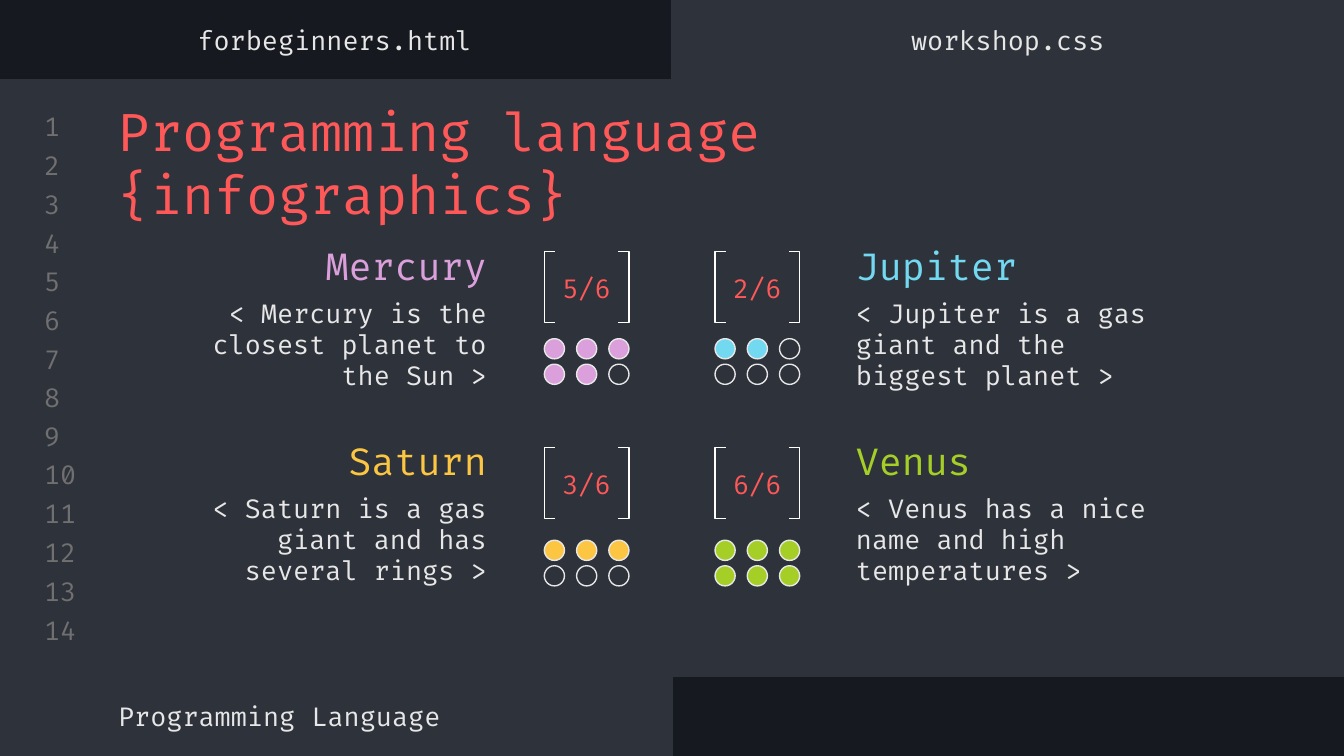
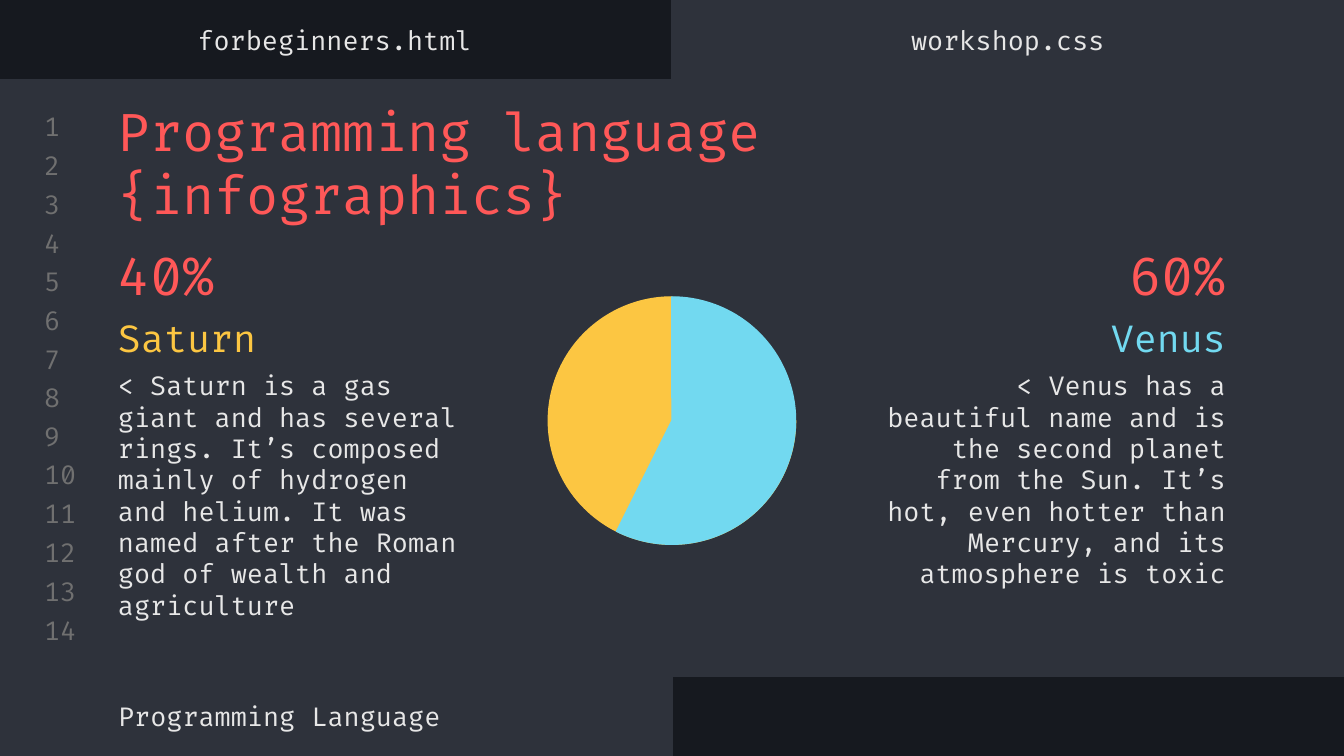
import pptx
import pptx.dml.color
import pptx.enum.shapes
import pptx.enum.text
import pptx.util

PX = 4572  # 200 px to the inch
WIDE, HIGH = 2000, 1125
FONT = "Fira Code"
DARK, PANEL, GREY = "16191F", "2E323B", "707070"
PALE, WHITE, RED = "E7E7E7", "FFFFFF", "FF5858"
PINK, BLUE, GOLD, GREEN = "DBA0DB", "72D9F0", "FCC642", "A5CF27"
SMALL, MID, LARGE = 14, 20, 28
LEFT = 156

Kind = pptx.enum.shapes.MSO_SHAPE
Anchor = pptx.enum.text.MSO_ANCHOR
Align = pptx.enum.text.PP_ALIGN


def paint(color):
    return pptx.dml.color.RGBColor.from_string(color)


def scale(*sizes):
    return [pptx.util.Emu(size * PX) for size in sizes]


class Deck:
    """Holds the shared style and the slide being filled."""

    def __init__(self):
        self.file = pptx.Presentation()
        self.file.slide_width, self.file.slide_height = scale(WIDE, HIGH)
        self.slide = None

    def text(self, words, x, y, w, h, size=SMALL, color=PALE,
             align=Align.LEFT, anchor=Anchor.MIDDLE):
        frame = self.slide.shapes.add_textbox(*scale(x, y, w, h)).text_frame
        frame.word_wrap = True
        frame.vertical_anchor = anchor
        (frame.margin_left, frame.margin_top,
         frame.margin_right, frame.margin_bottom) = scale(20, 20, 20, 20)
        para = frame.paragraphs[0]
        para.text = words
        para.alignment = align
        para.font.name = FONT
        para.font.size = pptx.util.Pt(size)
        para.font.color.rgb = paint(color)

    def shape(self, kind, x, y, w, h, fill=None, line=None, adjust=()):
        item = self.slide.shapes.add_shape(kind, *scale(x, y, w, h))
        item.shadow.inherit = False
        if fill:
            item.fill.solid()
            item.fill.fore_color.rgb = paint(fill)
        else:
            item.fill.background()
        item.line.color.rgb = paint(line or fill)
        item.line.width = pptx.util.Pt(0.75)
        for index, value in enumerate(adjust):
            item.adjustments[index] = value

    def page(self):
        """Add a slide with bands, line numbers, tabs, title and footer."""
        self.slide = self.file.slides.add_slide(self.file.slide_layouts[6])
        back = self.slide.background.fill
        back.solid()
        back.fore_color.rgb = paint(DARK)
        half = WIDE // 2
        for band in ((half, 0, half, 130), (0, 996, half, 130),
                     (0, 118, WIDE, 888)):
            self.shape(Kind.RECTANGLE, *band, fill=PANEL)
        for row in range(14):
            self.text(str(row + 1), 46, round(164 + row * 57.6), 94, 48,
                      color=GREY)
        self.text("Programming language {infographics}", LEFT, 128, 1688, 126,
                  LARGE, RED, anchor=Anchor.TOP)
        self.text("Programming Language", LEFT, 1026, 1064, 78)
        self.text("forbeginners.html", -2, 20, half, 78, align=Align.CENTER)
        self.text("workshop.css", half, 20, half, 78, align=Align.CENTER)

    def score(self, count, color, x, top, dots):
        """Draw a bracketed score over a grid of six dots."""
        for kind, left in ((Kind.LEFT_BRACKET, x),
                           (Kind.RIGHT_BRACKET, x + 110)):
            self.shape(kind, left, top, 16, 106, line=WHITE, adjust=[0])
        for dot in range(6):
            row, col = divmod(dot, 3)
            self.shape(Kind.OVAL, x + col * 48, dots + row * 38, 30, 30,
                       fill=color if dot < count else None, line=PALE)
        self.text(f"{count}/6", x, top + 16, 126, 78, color=RED,
                  align=Align.CENTER)


def scores(deck):
    deck.page()
    # text left, score left, alignment
    cols = ((268, 810, Align.RIGHT), (1254, 1064, Align.LEFT))
    # name top, bracket top, dots top
    rows = ((358, 374, 504), (648, 666, 804))
    planets = (
        ("Mercury", "< Mercury is the closest planet to the Sun >", 5, PINK),
        ("Jupiter", "< Jupiter is a gas giant and the biggest planet >",
         2, BLUE),
        ("Saturn", "< Saturn is a gas giant and has several rings >", 3, GOLD),
        ("Venus", "< Venus has a nice name and high temperatures >",
         6, GREEN),
    )
    for index, (name, about, count, color) in enumerate(planets):
        x, mark, align = cols[index % 2]
        top, frame, dots = rows[index // 2]
        deck.text(about, x, top + 83, 476, 142, align=align)
        deck.text(name, x, top, 476, 74, MID, color, align)
        deck.score(count, color, mark, frame, dots)


def shares(deck):
    deck.page()
    # pie angles, in units of 5/3 degree
    for color, angles in ((GOLD, (0, 162)), (BLUE, (162, 69.93))):
        deck.shape(Kind.PIE, 816, 442, 368, 368, fill=color, adjust=angles)
    planets = (
        ("Saturn", "40%", GOLD, LEFT, LEFT, Align.LEFT,
         "< Saturn is a gas giant and has several rings. It’s composed mainly "
         "of hydrogen and helium. It was named after the Roman god of wealth "
         "and agriculture"),
        ("Venus", "60%", BLUE, 1284, 1584, Align.RIGHT,
         "< Venus has a beautiful name and is the second planet from the Sun. "
         "It’s hot, even hotter than Mercury, and its atmosphere is toxic"),
    )
    for name, share, color, x, edge, align, about in planets:
        deck.text(about, x, 530, 560, 368, align=align, anchor=Anchor.TOP)
        deck.text(name, x, 466, 560, 74, MID, color, align)
        deck.text(share, edge, 356, 260, 106, LARGE, RED, align)


def main():
    deck = Deck()
    scores(deck)
    shares(deck)
    deck.file.save("out.pptx")


if __name__ == "__main__":
    main()
